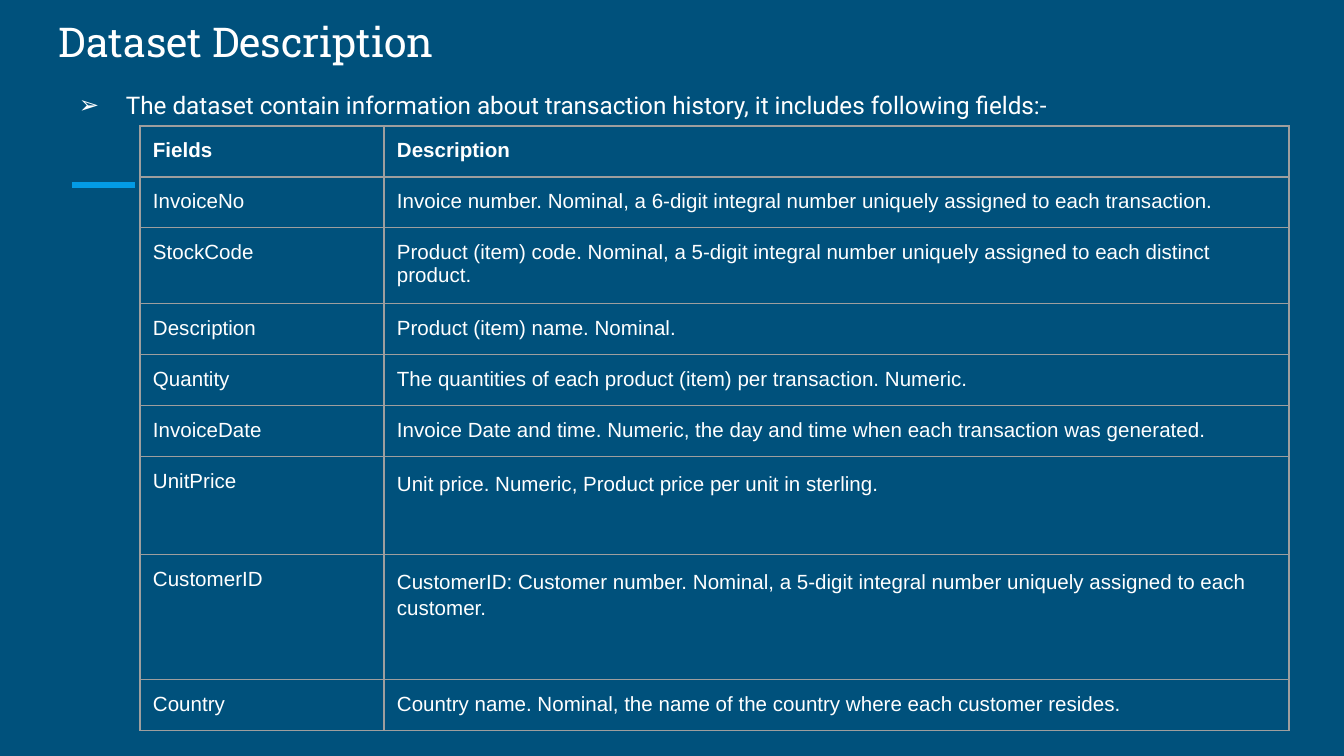
from lxml import etree
from pptx import Presentation
from pptx import util as u
from pptx.dml.color import RGBColor
from pptx.enum import shapes, text
from pptx.oxml.ns import qn

PX = 914400 / 134.4
COLORS = {"back": "00517C", "accent": "039BE5", "text": "FFFFFF", "border": "9E9E9E"}
INSET = 13
COLS = [244, 905]
ROWS = [  # field, description, row height
    ("Fields", "Description", 51),
    ("InvoiceNo", "Invoice number. Nominal, a 6-digit integral number uniquely assigned to each transaction.", 51),
    ("StockCode", "Product (item) code. Nominal, a 5-digit integral number uniquely assigned to each distinct product.", 76),
    ("Description", "Product (item) name. Nominal.", 51),
    ("Quantity", "The quantities of each product (item) per transaction. Numeric.", 51),
    ("InvoiceDate", "Invoice Date and time. Numeric, the day and time when each transaction was generated.", 51),
    ("UnitPrice", "Unit price. Numeric, Product price per unit in sterling.", 98),
    ("CustomerID", "CustomerID: Customer number. Nominal, a 5-digit integral number uniquely assigned to each customer.", 125),
    ("Country", "Country name. Nominal, the name of the country where each customer resides.", 51),
]
SPACED = ("UnitPrice", "CustomerID")


def px(*values):
    return [u.Emu(round(v * PX)) for v in values]


def write(holder, words, font, size, bold=False):
    """Fill a text box or table cell, set its insets and return the paragraph."""
    tf = holder.text_frame
    tf.word_wrap = True
    for side in ("left", "right", "top", "bottom"):
        # a cell has its own margins, a text box keeps them on its frame
        setattr(holder if hasattr(holder, "margin_left") else tf, f"margin_{side}", px(INSET)[0])
    p = tf.paragraphs[0]
    p.text = words
    f = p.runs[0].font
    f.name, f.size, f.bold = font, u.Pt(size), bold
    f.color.rgb = RGBColor.from_string(COLORS["text"])
    return p


prs = Presentation()
prs.slide_width, prs.slide_height = px(1344, 756)
s = prs.slides.add_slide(prs.slide_layouts[6])
s.background.fill.solid()
s.background.fill.fore_color.rgb = RGBColor.from_string(COLORS["back"])

# Accent line
line = s.shapes.add_connector(shapes.MSO_CONNECTOR.STRAIGHT, *px(72, 185, 135, 185))
line.line.color.rgb = RGBColor.from_string(COLORS["accent"])
line.line.width = u.Pt(3)
etree.SubElement(line._element.spPr, qn("a:effectLst"))

# Title
title = s.shapes.add_textbox(*px(46, 24, 1252, 55))
write(title, "Dataset Description", "Roboto Slab", 22)
title.text_frame.vertical_anchor = text.MSO_ANCHOR.BOTTOM

# Bulleted introduction
intro = s.shapes.add_textbox(*px(46, 73, 1252, 646))
p = write(intro, "The dataset contain information about transaction history, it includes following fields:-",
          "Roboto", 13)
p.line_spacing = 1.15
pPr = p._p.get_or_add_pPr()
indent, hanging = px(67, -47)
pPr.set("marL", str(indent))
pPr.set("indent", str(hanging))
clr = etree.SubElement(pPr, qn("a:buClr"))
etree.SubElement(clr, qn("a:srgbClr"), val=COLORS["text"])
etree.SubElement(pPr, qn("a:buFont"), typeface="Roboto")
etree.SubElement(pPr, qn("a:buChar"), char="➢")

# Field table
heights = [row[2] for row in ROWS]
frame = s.shapes.add_table(len(ROWS), len(COLS), *px(140, 126, sum(COLS), sum(heights)))
table = frame.table
table.first_row = table.horz_banding = False
for col, width in zip(table.columns, px(*COLS)):
    col.width = width
for row, height in zip(table.rows, px(*heights)):
    row.height = height

for i, (field, description, _) in enumerate(ROWS):
    for j, words in enumerate((field, description)):
        cell = table.cell(i, j)
        p = write(cell, words, "Arial", 11, bold=i == 0)
        if j == 1 and field in SPACED:
            p.line_spacing = 1.15
            p.space_before = p.space_after = u.Pt(12)
        tcPr = cell._tc.get_or_add_tcPr()
        for side in ("lnL", "lnR", "lnT", "lnB"):
            ln = etree.SubElement(tcPr, qn(f"a:{side}"), w=str(u.Pt(0.75)))
            fill = etree.SubElement(ln, qn("a:solidFill"))
            etree.SubElement(fill, qn("a:srgbClr"), val=COLORS["border"])
        cell.fill.background()

prs.save("out.pptx")
